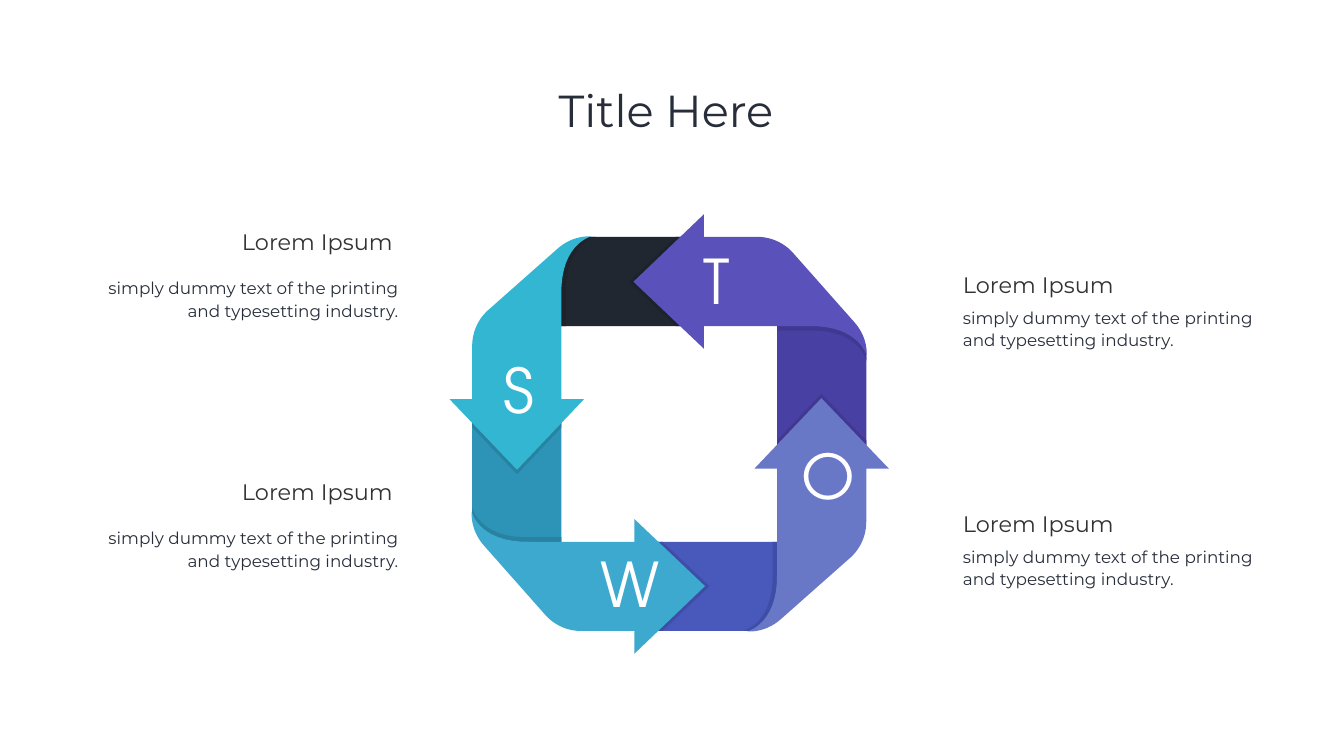
from pptx import Presentation, util as u
from pptx.dml.color import RGBColor
from pptx.enum import text

PX = u.Inches(1) // 100
STEPS = 12
MID_X, MID_Y = 1328, 861

theme = {
    "sans": "Montserrat", "round": "TeX Gyre Adventor",
    "title": 64, "head": 32, "body": 24, "mark": 88,
    "ink": "272E3A", "grey": "323232", "white": "FFFFFF",
    "band": ["212731", "4940A4", "4859BB", "2D93B7"],
    "shade": ["1D222B", "413891", "3E4DA6", "2882A1"],
    "arrow": ["5B51BB", "6977C7", "3DA9CF", "33B6D2"],
}

# Each step is a line (x, y) or a curve (two controls and an end), from the ring's centre.
band = [(-220, -214), (34, -214), (34, -391), (-153, -391),
        (-191, -391, -220, -361, -220, -324)]
fold = [(-219, -324), (-219, -214), (-205, -214), (-205, -274),
        (-208, -355, -170, -384, -146, -391), (-158, -391),
        (-192, -387, -219, -359, -219, -324)]
notch = [(13, -214), (33, -214), (33, -391), (13, -391), (-80, -302)]
arrow = [(368, -221), (245, -360), (227, -380, 201, -391, 175, -391),
         (69, -391), (69, -436), (-71, -302), (69, -169), (69, -214),
         (275, -214), (355, -216, 384, -179, 392, -155), (392, -159),
         (392, -182, 383, -204, 368, -221)]

deck = Presentation()
deck.slide_width, deck.slide_height = 2667 * PX, 1500 * PX
slide = deck.slides.add_slide(deck.slide_layouts[6])


def draw(steps, turn, color):
    dots = []
    for step in steps:
        if len(step) == 2:
            dots.append(step)
            continue
        ax, ay = dots[-1]
        bx, by, cx, cy, dx, dy = step
        for i in range(1, STEPS + 1):
            t = i / STEPS
            s = 1 - t
            dots.append(tuple(
                s**3 * a + 3 * s * s * t * b + 3 * s * t * t * c + t**3 * d
                for a, b, c, d in ((ax, bx, cx, dx), (ay, by, cy, dy))))
    for _ in range(turn):
        dots = [(-y, x) for x, y in dots]
    dots = [(round((MID_X + x) * PX), round((MID_Y + y) * PX)) for x, y in dots]
    pen = slide.shapes.build_freeform(*dots[0], scale=1.0)
    pen.add_line_segments(dots[1:], close=True)
    shape = pen.convert_to_shape()
    shape.shadow.inherit = False
    shape.fill.solid()
    shape.fill.fore_color.rgb = RGBColor.from_string(color)
    shape.line.fill.background()


def write(words, area, size, color, font="sans", align="LEFT", anchor="TOP",
          wrap=True, space=1.0):
    box = slide.shapes.add_textbox(*(n * PX for n in area))
    frame = box.text_frame
    frame.text = words
    frame.word_wrap = wrap
    frame.vertical_anchor = text.MSO_ANCHOR[anchor]
    para = frame.paragraphs[0]
    para.alignment = text.PP_ALIGN[align]
    para.line_spacing = space
    run = para.runs[0]
    run.font.name = theme[font]
    run.font.size = u.Pt(theme[size])
    run.font.color.rgb = RGBColor.from_string(theme[color])


for steps, tone in ((band, "band"), (fold, "shade"), (notch, "shade"), (arrow, "arrow")):
    for turn, color in enumerate(theme[tone]):
        draw(steps, turn, color)

marks = [("S", 990, 693, 77), ("T", 1383, 477, 80),
         ("O", 1580, 863, 102), ("W", 1182, 1077, 130)]
for mark, x, y, wide in marks:
    write(mark, (x, y, wide, 158), "mark", "white", "round", "CENTER", "MIDDLE", False)

write("Title Here ", (183, 80, 2300, 290), "title", "ink",
      align="CENTER", anchor="MIDDLE", space=0.9)

notes = [("Lorem Ipsum", 1901, 332, 1901, 69, "LEFT", (532, 1007)),
         ("Lorem Ipsum ", 445, 356, 183, 96, "RIGHT", (447, 943))]
for head, x, wide, left, drop, align, tops in notes:
    for top in tops:
        write(head, (x, top, wide, 64), "head", "grey", align=align,
              anchor="BOTTOM", wrap=align == "RIGHT")
        write("simply dummy text of the printing and typesetting industry.",
              (left, top + drop, 617, 97), "body", "ink", align=align, space=1.1)

deck.save("out.pptx")
